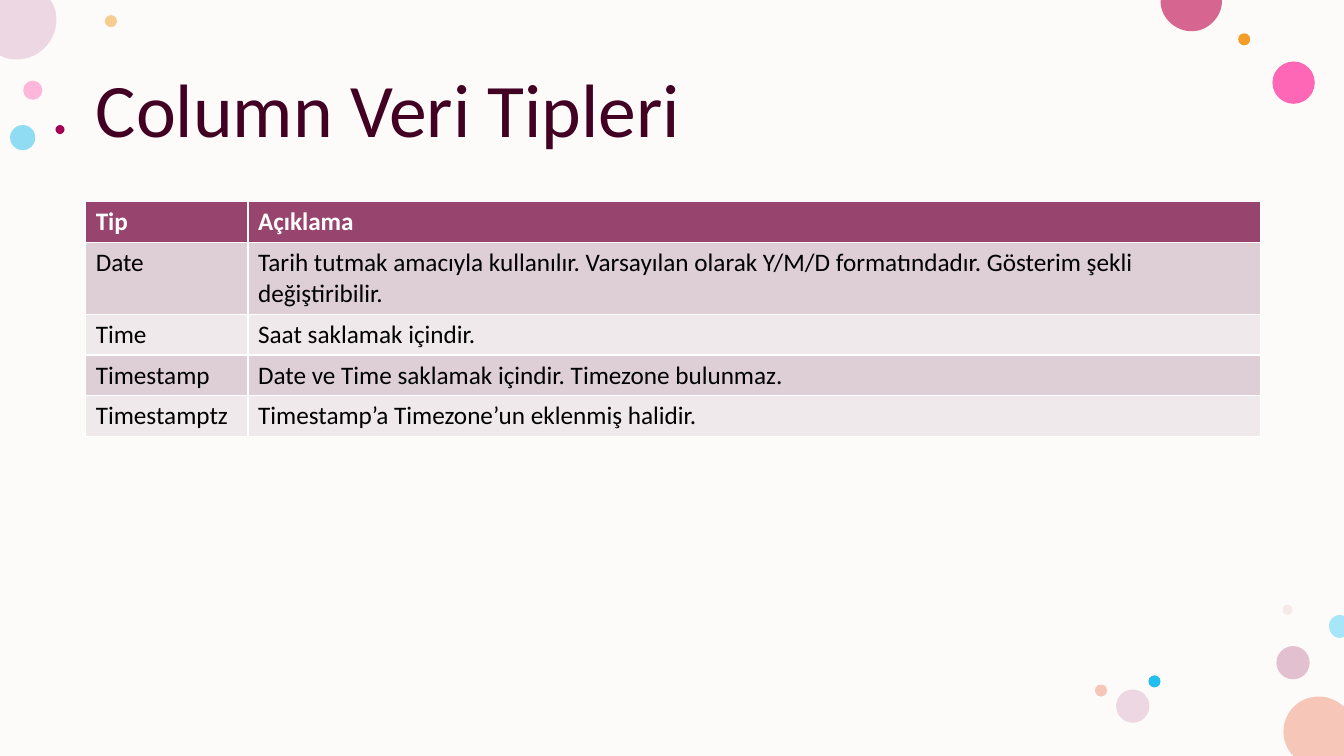
from lxml import etree
from pptx import Presentation
from pptx.dml.color import RGBColor
from pptx.enum.shapes import MSO_SHAPE
from pptx.enum.text import MSO_ANCHOR, MSO_AUTO_SIZE, PP_ALIGN
from pptx.oxml.ns import qn
from pptx.util import Inches, Pt

OVAL = MSO_SHAPE.OVAL
RECT = MSO_SHAPE.RECTANGLE
MIDDLE = MSO_ANCHOR.MIDDLE
NO_FIT = MSO_AUTO_SIZE.NONE
LEFT = PP_ALIGN.LEFT

WIDE, HIGH = 13.33, 7.5
FONT = "Calibri"
COLORS = {
    "paper": "FDFBF9", "title": "420023", "head": "97446E",
    "odd": "DDCFD5", "even": "EFE9EB", "white": "FFFFFF", "black": "000000",
    "pink": "FF75BD", "hot": "FF2F9C", "orange": "F39E29", "mauve": "C987A8",
    "blue": "24BEEE", "blush": "E3BEBE", "lilac": "EDD7E2", "peach": "F6C7B9",
    "rose": "D6658F", "wine": "A40056", "sky": "A7E5F8",
}

# Left, top, size, color, opacity in percent
DOTS = [
    (0.23, 0.8, 0.19, "pink", 50),
    (1.04, 0.15, 0.12, "orange", 50),
    (12.66, 6.41, 0.33, "mauve", 50),
    (0.1, 1.24, 0.25, "blue", 50),
    (12.62, 0.61, 0.42, "hot", 72),
    (12.28, 0.33, 0.12, "orange", 100),
    (12.72, 6, 0.1, "blush", 28),
    (11.39, 6.7, 0.12, "blue", 100),
    (11.07, 6.84, 0.33, "lilac", 100),
    (10.86, 6.79, 0.12, "peach", 100),
    (0.55, 1.24, 0.09, "wine", 100),
]
# Circles cut by the slide edge: color, then steps of x, y pairs;
# a step of one pair is a line, a step of three pairs is a curve
CUTS = [
    ("peach", [(13.08, 6.91), (13.18, 6.91, 13.26, 6.95, 13.33, 7.01),
               (13.33, 7.02), (13.33, 7.5), (12.83, 7.5), (12.81, 7.48),
               (12.76, 7.42, 12.73, 7.34, 12.73, 7.26),
               (12.73, 7.06, 12.89, 6.91, 13.08, 6.91)]),
    ("lilac", [(0, 0), (0.5, 0), (0.53, 0.05),
               (0.55, 0.09, 0.56, 0.14, 0.56, 0.2),
               (0.56, 0.41, 0.38, 0.59, 0.17, 0.59),
               (0.11, 0.59, 0.06, 0.58, 0.02, 0.56), (0, 0.55)]),
    ("rose", [(11.52, 0), (12.12, 0), (12.12, 0.01),
              (12.12, 0.17, 11.98, 0.31, 11.82, 0.31),
              (11.65, 0.31, 11.51, 0.17, 11.51, 0.01)]),
    ("sky", [(13.29, 6.1), (13.33, 6.11), (13.33, 6.32), (13.29, 6.33),
             (13.23, 6.33, 13.18, 6.28, 13.18, 6.21),
             (13.18, 6.15, 13.23, 6.1, 13.29, 6.1)]),
]
ROWS = [
    ("Tip", "Açıklama"),
    ("Date", "Tarih tutmak amacıyla kullanılır. Varsayılan olarak Y/M/D "
             "formatındadır. Gösterim şekli değiştiribilir."),
    ("Time", "Saat saklamak içindir."),
    ("Timestamp", "Date ve Time saklamak içindir. Timezone bulunmaz."),
    ("Timestamptz", "Timestamp’a Timezone’un eklenmiş halidir."),
]


def rgb(name):
    return RGBColor.from_string(COLORS[name])


class Deck:
    def __init__(self):
        self.prs = Presentation()
        self.prs.slide_width = Inches(WIDE)
        self.prs.slide_height = Inches(HIGH)
        self.slide = self.prs.slides.add_slide(self.prs.slide_layouts[5])
        self.shapes = self.slide.shapes

    def paint(self, item, color):
        item.fill.solid()
        item.fill.fore_color.rgb = rgb(color)

    def style(self, para, size, color, bold=False):
        for run in para.runs:
            font = run.font
            font.name, font.size, font.bold = FONT, Pt(size), bold
            font.color.rgb = rgb(color)

    def finish(self, shape, color):
        shape.shadow.inherit = False
        shape.line.fill.background()
        self.paint(shape, color)

    def shape(self, kind, left, top, width, height, color, alpha=100):
        shape = self.shapes.add_shape(
            kind, Inches(left), Inches(top), Inches(width), Inches(height))
        self.finish(shape, color)
        if alpha < 100:
            tint = shape.fill._xPr.find(".//" + qn("a:srgbClr"))
            etree.SubElement(tint, qn("a:alpha"), val=str(alpha * 1000))

    def cut(self, color, steps):
        points = [(Inches(x), Inches(y)) for step in steps
                  for x, y in zip(step[::2], step[1::2])]
        form = self.shapes.build_freeform(*points[0])
        form.add_line_segments(points[1:])
        shape = form.convert_to_shape()
        self.finish(shape, color)
        # Join each run of three line points into one curve
        lines = iter(list(shape._element.iter(qn("a:lnTo"))))
        for step in steps[1:]:
            line = next(lines)
            if len(step) == 6:
                curve = etree.Element(qn("a:cubicBezTo"))
                line.addprevious(curve)
                for part in (line, next(lines), next(lines)):
                    curve.append(part[0])
                    part.getparent().remove(part)

    def title(self, text, left, top, width, height):
        shape = self.shapes.title
        shape.left, shape.top = Inches(left), Inches(top)
        shape.width, shape.height = Inches(width), Inches(height)
        frame = shape.text_frame
        frame.text = text
        frame.word_wrap = True
        frame.auto_size = NO_FIT
        frame.vertical_anchor = MIDDLE
        para = frame.paragraphs[0]
        para.alignment = LEFT
        para.line_spacing = 0.9
        self.style(para, 54, "title")

    def table(self, rows, left, top, widths, heights):
        table = self.shapes.add_table(
            len(rows), len(widths), Inches(left), Inches(top),
            Inches(sum(widths)), Inches(sum(heights))).table
        for column, width in zip(table.columns, widths):
            column.width = Inches(width)
        for r, (texts, height) in enumerate(zip(rows, heights)):
            table.rows[r].height = Inches(height)
            head = r == 0
            fill = "head" if head else ("odd" if r % 2 else "even")
            for c, text in enumerate(texts):
                cell = table.cell(r, c)
                cell.text_frame.text = text
                self.style(cell.text_frame.paragraphs[0], 18,
                           "white" if head else "black", head)
                self.paint(cell, fill)


def main():
    deck = Deck()
    # Paper and confetti circles
    deck.shape(RECT, 0, 0, WIDE, HIGH, "paper")
    for left, top, size, color, alpha in DOTS:
        deck.shape(OVAL, left, top, size, size, color, alpha)
    for color, steps in CUTS:
        deck.cut(color, steps)
    # Title and table of types
    title = deck.shapes.title
    deck.shapes._spTree.append(title._element)
    deck.title("Column Veri Tipleri", 0.85, 0.4, 11.66, 1.45)
    deck.table(ROWS, 0.85, 2, (1.61, 10.04), (0.4, 0.69, 0.4, 0.4, 0.4))
    deck.prs.save("out.pptx")


if __name__ == "__main__":
    main()
